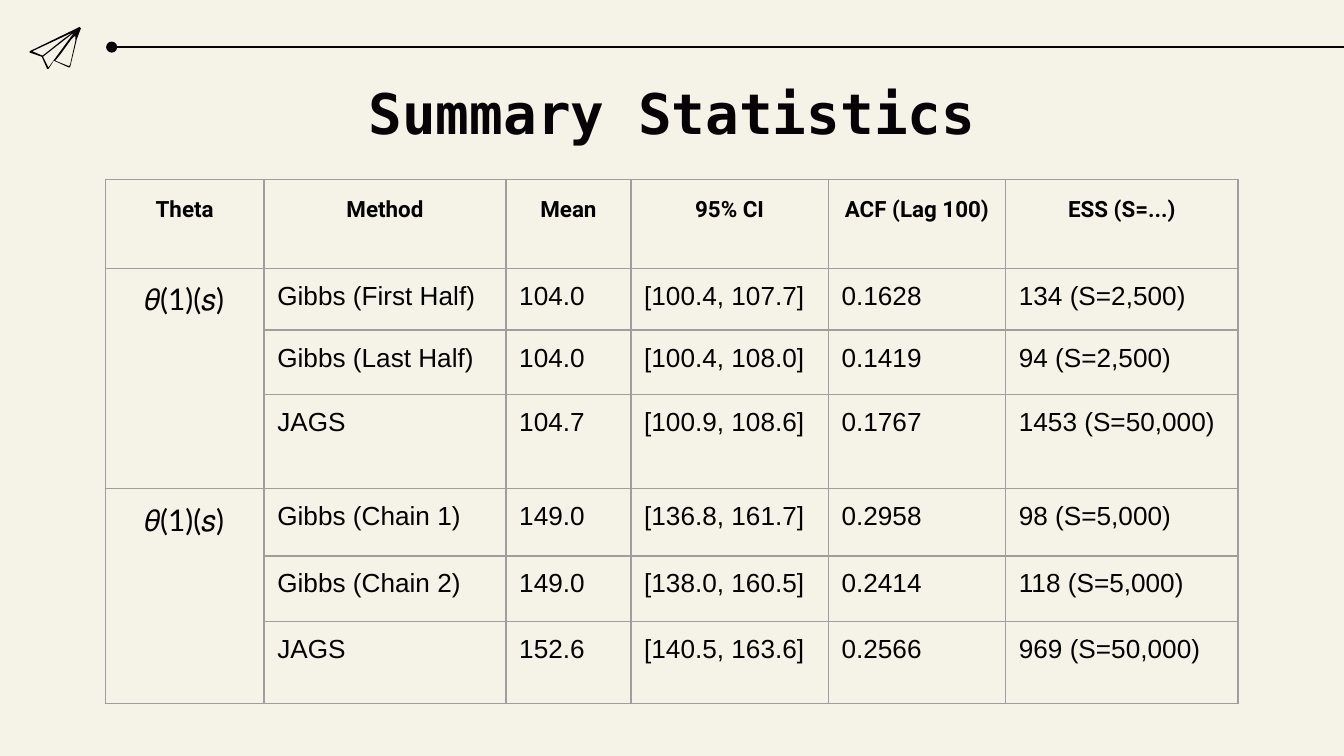
from lxml import etree
from pptx import Presentation
from pptx import util as u
from pptx.dml.color import RGBColor
from pptx.enum import shapes, text
from pptx.oxml import parse_xml
from pptx.oxml.ns import nsdecls, qn

INK, BLACK, PAPER, GRID = "050305", "000000", "F5F3E7", "9E9E9E"
CENTER, LEFT = text.PP_ALIGN.CENTER, text.PP_ALIGN.LEFT
INSET = u.Cm(0.25)

TITLE = {"size": u.Pt(30), "name": "DejaVu Sans Mono", "bold": True}
HEADER = {"size": u.Pt(12), "name": "Roboto", "bold": True}
THETA = {"size": u.Pt(16), "name": "Lato", "bold": False}
BODY = {"size": u.Pt(14), "name": "Arial", "bold": False}

COLUMN_WIDTHS = [3, 4.57, 2.36, 3.73, 3.35, 4.39]
ROW_HEIGHTS = [1.68, 1.17, 1.22, 1.78, 1.27, 1.24, 1.55]
GROUP_SIZE = 3
STATISTICS = [
    ["Theta", "Method", "Mean", "95% CI", "ACF (Lag 100)", "ESS (S=...)"],
    ["𝜃(1)(𝑠)", "Gibbs (First Half)", "104.0", "[100.4, 107.7]", "0.1628", "134 (S=2,500)"],
    ["", "Gibbs (Last Half)", "104.0", "[100.4, 108.0]", "0.1419", "94 (S=2,500)"],
    ["", "JAGS", "104.7", "[100.9, 108.6]", "0.1767", "1453 (S=50,000)"],
    ["𝜃(1)(𝑠)", "Gibbs (Chain 1)", "149.0", "[136.8, 161.7]", "0.2958", "98 (S=5,000)"],
    ["", "Gibbs (Chain 2)", "149.0", "[138.0, 160.5]", "0.2414", "118 (S=5,000)"],
    ["", "JAGS", "152.6", "[140.5, 163.6]", "0.2566", "969 (S=50,000)"],
]

# Plane silhouette followed by its three openings, on a grid 38 units wide
PLANE_WIDTH = 38
PLANE = [
    [(18, 25), (14, 31), (13, 31), (9, 22), (0, 19), (0, 18), (37, 0), (38, 1),
     (35, 9), (30, 30), (29, 30)],
    [(29, 29), (30, 28), (34, 10), (34, 7), (33, 7), (31, 9), (23, 20), (19, 25)],
    [(14, 30), (33, 4), (10, 22)],
    [(32, 4), (2, 18), (9, 21), (10, 21), (25, 9)],
]


def rgb(color):
    return RGBColor.from_string(color)


def write(paragraph, words, style, color, align):
    paragraph.alignment = align
    run = paragraph.add_run()
    run.text = words
    for key, value in style.items():
        setattr(run.font, key, value)
    run.font.color.rgb = rgb(color)


def set_insets(frame):
    for side in ("left", "right", "top", "bottom"):
        setattr(frame, f"margin_{side}", INSET)


def add_plane(slide, left, top, width):
    scale = width / PLANE_WIDTH
    outline, *openings = PLANE
    builder = slide.shapes.build_freeform(*outline[0], scale=1 / scale ** -1)
    builder.add_line_segments(outline[1:])
    for opening in openings:
        builder.move_to(*opening[0])
        builder.add_line_segments(opening[1:])
    plane = builder.convert_to_shape(left, top)
    plane.shadow.inherit = False
    plane.fill.solid()
    plane.fill.fore_color.rgb = rgb(INK)
    plane.line.fill.background()


def add_rule(slide, left, top, width):
    """Draw a horizontal line that starts with a dot."""
    rule = slide.shapes.add_connector(
        shapes.MSO_CONNECTOR.STRAIGHT, left, top, left + width, top)
    rule.line.color.rgb = rgb(INK)
    rule.line.width = u.Pt(0.75)
    etree.SubElement(rule.line._get_or_add_ln(), qn("a:headEnd"), type="oval")
    etree.SubElement(rule._element.spPr, qn("a:effectLst"))


def add_title(slide, left, top, width, height):
    frame = slide.shapes.add_textbox(left, top, width, height).text_frame
    frame.word_wrap = True
    frame.vertical_anchor = text.MSO_ANCHOR.TOP
    set_insets(frame)
    write(frame.paragraphs[0], "Summary Statistics", TITLE, INK, CENTER)


def add_borders(cell):
    properties = cell._tc.get_or_add_tcPr()
    for side in "LRTB":
        properties.append(parse_xml(
            f'<a:ln{side} {nsdecls("a")} w="{u.Pt(0.75)}"><a:solidFill>'
            f'<a:srgbClr val="{GRID}"/></a:solidFill></a:ln{side}>'))


def add_statistics(slide, left, top, width, height):
    table = slide.shapes.add_table(
        len(STATISTICS), len(COLUMN_WIDTHS), left, top, width, height).table
    table.first_row = table.horz_banding = False
    for column, share in zip(table.columns, COLUMN_WIDTHS):
        column.width = int(width * share / sum(COLUMN_WIDTHS))
    for row, share in zip(table.rows, ROW_HEIGHTS):
        row.height = int(height * share / sum(ROW_HEIGHTS))

    for r, values in enumerate(STATISTICS):
        for c, value in enumerate(values):
            cell = table.cell(r, c)
            set_insets(cell)
            add_borders(cell)
            cell.fill.background()
            if not value:
                continue
            style = HEADER if r == 0 else THETA if c == 0 else BODY
            paragraph = cell.text_frame.paragraphs[0]
            write(paragraph, value, style, BLACK, LEFT if style is BODY else CENTER)
            if style is HEADER:
                paragraph.line_spacing = 1.15

    for first in range(1, len(STATISTICS), GROUP_SIZE):
        table.cell(first, 0).merge(table.cell(first + GROUP_SIZE - 1, 0))


def main():
    deck = Presentation()
    deck.slide_width, deck.slide_height = u.Cm(25.4), u.Cm(14.29)
    slide = deck.slides.add_slide(deck.slide_layouts[6])
    slide.background.fill.solid()
    slide.background.fill.fore_color.rgb = rgb(PAPER)

    rule_left = u.Cm(2.11)
    add_rule(slide, rule_left, u.Cm(0.89), deck.slide_width - rule_left)
    add_plane(slide, u.Cm(0.56), u.Cm(0.51), u.Cm(0.97))
    add_title(slide, u.Cm(2), u.Cm(1.24), u.Cm(21.4), u.Cm(1.6))
    add_statistics(slide, u.Cm(1.99), u.Cm(3.39), u.Cm(21.41), u.Cm(9.91))
    deck.save("out.pptx")


if __name__ == "__main__":
    main()
